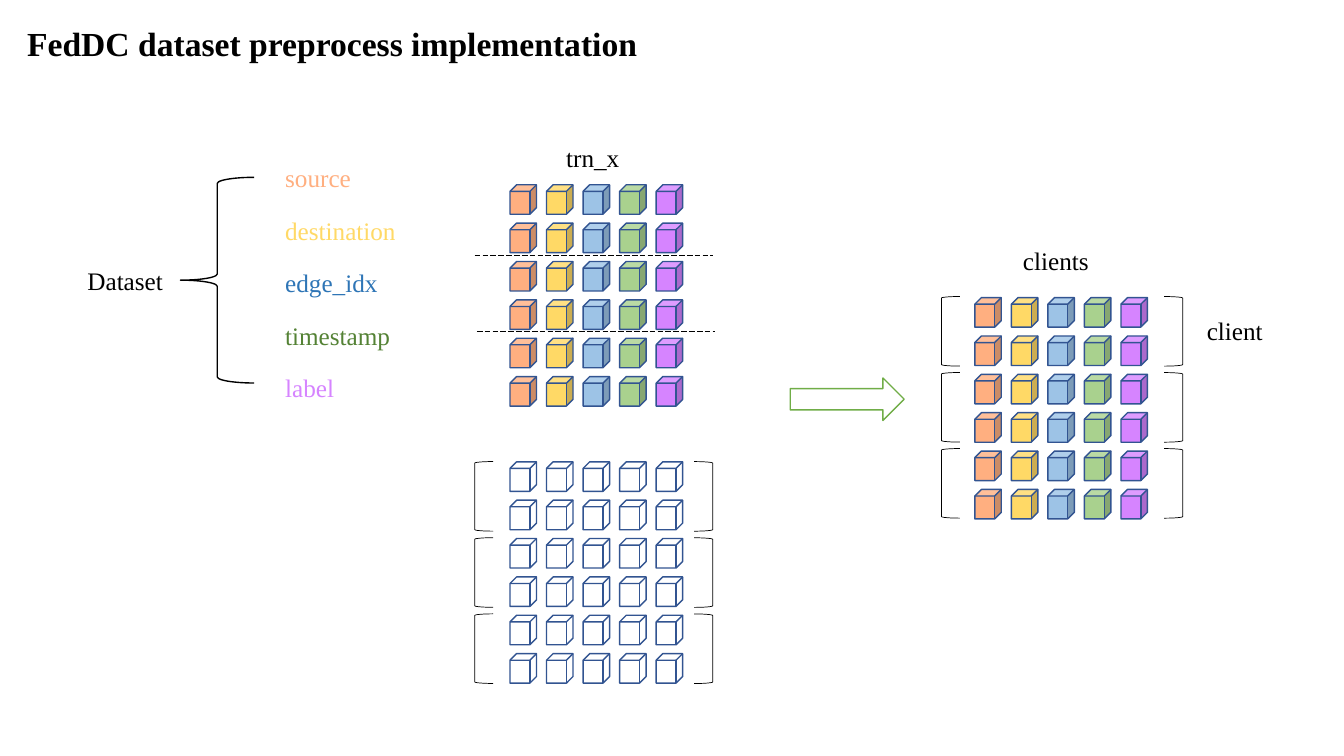
from lxml import etree
from pptx import Presentation
from pptx.dml.color import RGBColor
from pptx.enum import dml, shapes, text
from pptx.oxml import ns
from pptx.util import Pt

FONT = "Times New Roman"
BLACK = "000000"
FIELDS = {"source": "FFAF80", "destination": "FFD966", "edge_idx": "2E75B6",
          "timestamp": "548235", "label": "D684FF"}
CUBE_FILLS = ["FFAF80", "FFD966", "9DC3E6", "A9D18E", "D684FF"]
ROWS, COL_STEP, ROW_STEP = 6, 26.1, 27.4
CUBE_W, CUBE_H = 18.9, 21.1
FRAME = {"auto_size": text.MSO_AUTO_SIZE.NONE, "vertical_anchor": text.MSO_ANCHOR.TOP,
         "margin_left": Pt(7.2), "margin_right": Pt(7.2),
         "margin_top": Pt(3.6), "margin_bottom": Pt(3.6)}
PARAGRAPH = {"alignment": text.PP_ALIGN.LEFT, "line_spacing": 1.0,
             "space_before": Pt(0), "space_after": Pt(0)}


def rgb(value):
    """Turn a hex string into a colour."""
    return RGBColor.from_string(value)


def apply(target, values):
    """Set every attribute named in a dict of format values."""
    for name, value in values.items():
        setattr(target, name, value)


def place(sp, box):
    """Move a placeholder to a box given in points."""
    apply(sp, dict(zip(("left", "top", "width", "height"), map(Pt, box))))


def write(p, words, color=BLACK, size=18, bold=False, after=0):
    """Fill one paragraph with a formatted run."""
    apply(p, {**PARAGRAPH, "space_after": Pt(after)})
    r = p.add_run()
    r.text = words
    apply(r.font, {"name": FONT, "size": Pt(size), "bold": bold})
    r.font.color.rgb = rgb(color)


def add_label(s, words, box):
    """Add a one-line label."""
    tf = s.shapes.add_textbox(*map(Pt, box)).text_frame
    apply(tf, {**FRAME, "word_wrap": False})
    write(tf.paragraphs[0], words)


def add_outline(s, kind, box, line, width=1, fill=None, rotation=0):
    """Add a preset shape with a line and an optional fill."""
    sp = s.shapes.add_shape(kind, *map(Pt, box))
    sp.shadow.inherit = False
    apply(sp, {"rotation": rotation})
    sp.line.color.rgb = rgb(line)
    sp.line.width = Pt(width)
    if fill:
        sp.fill.solid()
        sp.fill.fore_color.rgb = rgb(fill)
    else:
        sp.fill.background()


def add_title(s, box):
    """Place the slide title."""
    sp = s.shapes.title
    place(sp, box)
    apply(sp.text_frame, {**FRAME, "word_wrap": False})
    write(sp.text_frame.paragraphs[0], "FedDC dataset preprocess implementation",
          size=24, bold=True)


def add_dataset(s, box):
    """Place the dataset label, its brace and the list of fields."""
    x, y, w, h = box
    add_label(s, "Dataset", (x, y + 73.5, 69.1, 28.8))
    add_outline(s, shapes.MSO_SHAPE.LEFT_BRACE, (x + 73.5, y + 14.4, 52.6, 146.9), BLACK)
    sp = s.placeholders[1]
    place(sp, (x + 141.1, y, w - 141.1, h))
    tf = sp.text_frame
    apply(tf, {**FRAME, "word_wrap": True})
    for i, (field, color) in enumerate(FIELDS.items()):
        p = tf.add_paragraph() if i else tf.paragraphs[0]
        write(p, field, color, after=16)
        pPr = p._p.get_or_add_pPr()
        apply_indent = {"marL": "0", "indent": "0"}
        for name, value in apply_indent.items():
            pPr.set(name, value)
        etree.SubElement(pPr, ns.qn("a:buNone"))


def add_cubes(s, x, y, fills):
    """Draw a grid of cubes with one fill per column."""
    for row in range(ROWS):
        for col, fill in enumerate(fills):
            add_outline(s, shapes.MSO_SHAPE.CUBE,
                        (x + col * COL_STEP, y + row * ROW_STEP, CUBE_W, CUBE_H),
                        "325491", fill=fill)


def add_brackets(s, box):
    """Enclose each pair of rows between brackets at the box edges."""
    x, y, w, h = box
    width, height = 13.2, 49.7
    step = (h - height) / 2
    for left, rotation in ((x, 0), (x + w - width, 180)):
        for i in range(3):
            add_outline(s, shapes.MSO_SHAPE.LEFT_BRACKET,
                        (left, y + i * step, width, height), BLACK, 0.5, rotation=rotation)


def add_divider(s, x, y, length):
    """Draw a dashed line between groups of rows."""
    line = s.shapes.add_connector(shapes.MSO_CONNECTOR.STRAIGHT,
                                  *map(Pt, (x, y, x + length, y)))
    line.line.color.rgb = rgb(BLACK)
    apply(line.line, {"width": Pt(0.5), "dash_style": dml.MSO_LINE.LONG_DASH})
    etree.SubElement(line._element.spPr, ns.qn("a:effectLst"))


def add_training(s, box):
    """Draw the training rows split by dividers, with the empty groups below."""
    x, y, w, h = box
    add_label(s, "trn_x", (x + 58.3, y, 52.6, 28.8))
    add_cubes(s, x + 25.2, y + 34.1, CUBE_FILLS)
    add_divider(s, x, y + 84.2, w)
    add_divider(s, x + 1.5, y + 139.1, w)
    add_cubes(s, x + 25.2, y + 232, [None] * len(CUBE_FILLS))
    add_brackets(s, (x, y + 231.8, w, h - 231.8))


def add_clients(s, box):
    """Draw the client groups with their labels."""
    x, y, w, h = box
    add_label(s, "clients", (x + 51.1, y, 63.4, 28.8))
    add_cubes(s, x + 23.8, y + 41.2, CUBE_FILLS)
    add_brackets(s, (x, y + 40.4, w, h - 40.4))
    add_label(s, "client", (x + w + 10.1, y + 50.4, 56.2, 28.8))


def main():
    """Build and save the slide."""
    prs = Presentation()
    apply(prs, {"slide_width": Pt(960), "slide_height": Pt(540)})
    s = prs.slides.add_slide(prs.slide_layouts[1])
    add_title(s, (12.2, 13, 471.6, 36))
    add_dataset(s, (55.4, 112.3, 250, 180))
    add_training(s, (339.1, 97.9, 170, 390.3))
    add_outline(s, shapes.MSO_SHAPE.RIGHT_ARROW, (564.5, 270, 81.4, 30.4),
                "70AD47", fill="FFFFFF")
    add_clients(s, (672.5, 171.4, 172.3, 198.7))
    prs.save("out.pptx")


if __name__ == "__main__":
    main()
